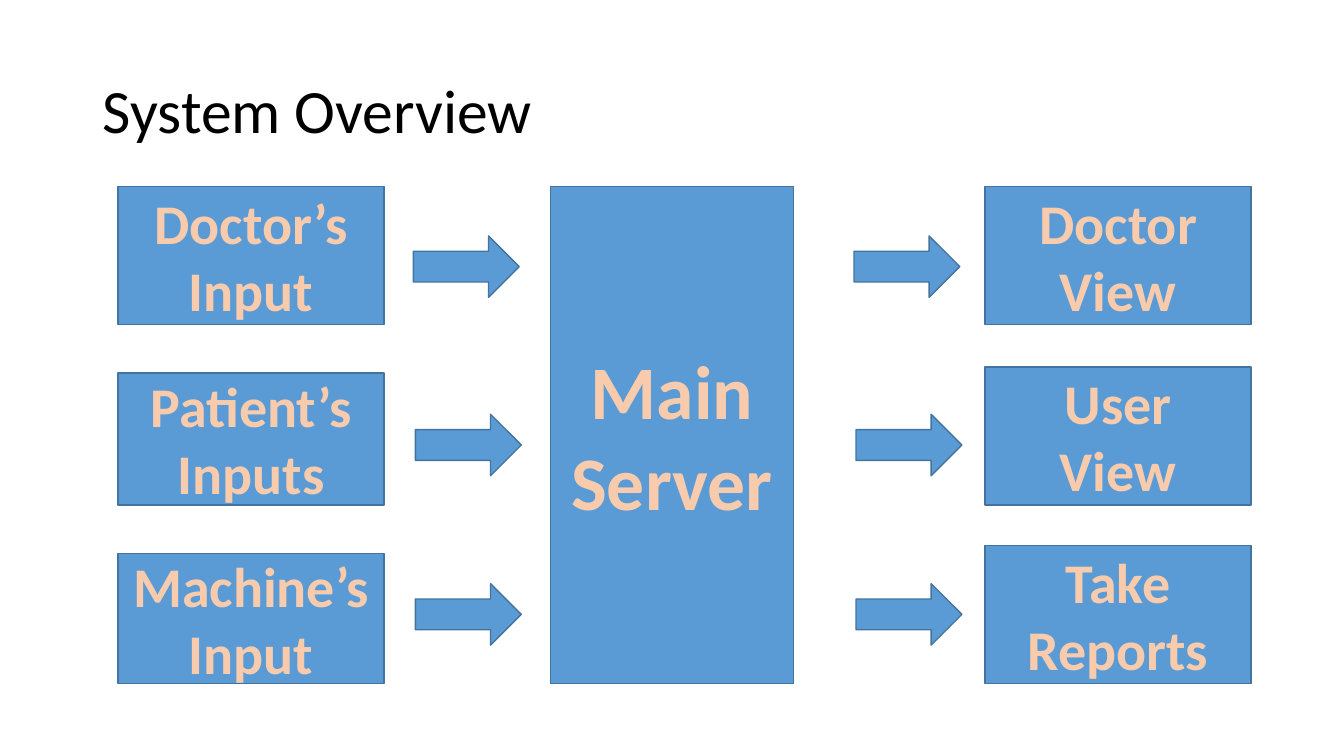
from lxml import etree
from pptx import Presentation
from pptx.dml.color import RGBColor
from pptx.enum import shapes, text
from pptx.oxml import ns
from pptx.util import Inches, Pt

BLACK = RGBColor(0x00, 0x00, 0x00)
BLUE = RGBColor(0x5B, 0x9B, 0xD5)
DARK_BLUE = RGBColor(0x43, 0x73, 0x9E)
PEACH = RGBColor(0xF8, 0xCB, 0xAD)
ORANGE = RGBColor(0xED, 0x7D, 0x31)
FONT = "Calibri"


def outline_text(r, color, width):
    """Draw a thin coloured line around the letters of a run."""
    ln = etree.Element(ns.qn("a:ln"), w=str(Pt(width)))
    fill = etree.SubElement(ln, ns.qn("a:solidFill"))
    etree.SubElement(fill, ns.qn("a:srgbClr"), val=str(color))
    r.font._element.insert(0, ln)


def write(tf, content, size=40, color=PEACH, bold=True, outline=ORANGE,
          align=text.PP_ALIGN.CENTER, spacing=None):
    """Fill a text frame, one paragraph for each line of content."""
    tf.word_wrap = True
    tf.vertical_anchor = text.MSO_ANCHOR.MIDDLE
    for i, line in enumerate(content.split("\n")):
        p = tf.add_paragraph() if i else tf.paragraphs[0]
        p.alignment = align
        p.line_spacing = spacing
        r = p.add_run()
        r.text = line
        r.font.name = FONT
        r.font.size = Pt(size)
        r.font.bold = bold
        r.font.color.rgb = color
        if outline:
            outline_text(r, outline, 1.75)


class Diagram:
    """The current slide and the look of its blocks and arrows."""

    def __init__(self, slide, fill=BLUE, line=DARK_BLUE):
        self.slide, self.fill, self.line = slide, fill, line

    def title(self, content):
        sp = self.slide.shapes.title
        sp.left, sp.top = Inches(0.92), Inches(0.4)
        sp.width, sp.height = Inches(11.5), Inches(1.45)
        write(sp.text_frame, content, size=44, color=BLACK, bold=False,
              outline=None, align=text.PP_ALIGN.LEFT, spacing=0.9)

    def shape(self, kind, x, y, w, h):
        sp = self.slide.shapes.add_shape(
            kind, Inches(x), Inches(y), Inches(w), Inches(h))
        sp.shadow.inherit = False
        sp.fill.solid()
        sp.fill.fore_color.rgb = self.fill
        sp.line.color.rgb = self.line
        sp.line.width = Pt(1)
        return sp

    def block(self, content, x, y, w, h, **style):
        sp = self.shape(shapes.MSO_SHAPE.RECTANGLE, x, y, w, h)
        write(sp.text_frame, content, **style)

    def arrow(self, x, y):
        self.shape(shapes.MSO_SHAPE.RIGHT_ARROW, x, y, 1.05, 0.61)


def main():
    prs = Presentation()
    prs.slide_width, prs.slide_height = Inches(13.33), Inches(7.5)
    s = prs.slides.add_slide(prs.slide_layouts[5])
    diagram = Diagram(s)
    diagram.title("System Overview")
    diagram.block("Main Server", 5.46, 1.85, 2.41, 4.93, size=54)

    inputs = [("Doctor’s Input", 1.85, 1.37),
              ("Patient’s Inputs", 3.7, 1.31),
              ("Machine’s Input", 5.49, 1.29)]
    outputs = [("Doctor\nView", 1.85, 1.37),
               ("User\nView", 3.64, 1.37),
               ("Take Reports", 5.41, 1.37)]
    for x, column in ((1.17, inputs), (9.77, outputs)):
        for label, y, h in column:
            diagram.block(label, x, y, 2.64, h)

    for x in (4.1, 8.47):
        for shift, y in ((0, 2.34), (0.02, 4.11), (0.02, 5.79)):
            diagram.arrow(x + shift, y)

    prs.save("out.pptx")


if __name__ == "__main__":
    main()
